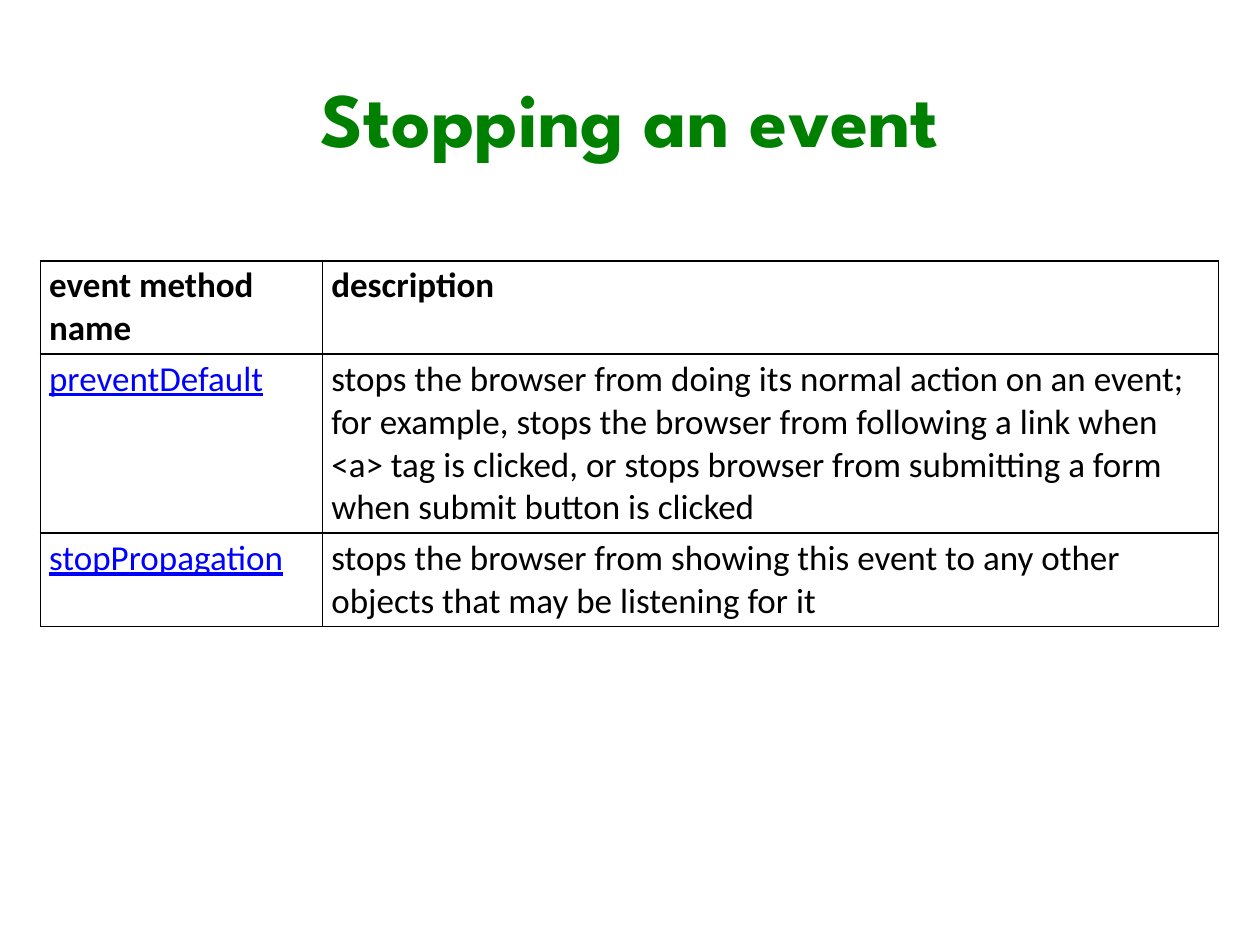
from lxml.etree import SubElement
from pptx import Presentation
from pptx.dml.color import RGBColor
from pptx.enum.text import MSO_ANCHOR, PP_ALIGN
from pptx.oxml.ns import qn
from pptx.util import Inches, Pt

GREEN = RGBColor(0x00, 0x80, 0x00)
BLACK = RGBColor(0x00, 0x00, 0x00)
BLUE = RGBColor(0x00, 0x00, 0xFF)

ROWS = [
    ("event method name", "description"),
    ("preventDefault",
     "stops the browser from doing its normal action on an event; "
     "for example, stops the browser from following a link "
     "when <a> tag is clicked, or stops browser from submitting a "
     "form when submit button is clicked"),
    ("stopPropagation",
     "stops the browser from showing this event to any other "
     "objects that may be listening for it"),
]
WIDTHS = [2.24, 7.11]
HEIGHTS = [0.39, 1.39, 0.72]


def add_borders(cell):
    props = cell._tc.get_or_add_tcPr()
    for side in ("a:lnL", "a:lnR", "a:lnT", "a:lnB"):
        line = SubElement(props, qn(side), w=str(Pt(1)))
        fill = SubElement(line, qn("a:solidFill"))
        SubElement(fill, qn("a:srgbClr"), val=str(BLACK))


deck = Presentation()
deck.slide_width, deck.slide_height = Inches(10), Inches(7.5)
slide = deck.slides.add_slide(deck.slide_layouts[5])

title = slide.shapes.title
title.left, title.top = Inches(0.5), Inches(0.3)
title.width, title.height = Inches(9), Inches(1.25)
frame = title.text_frame
frame.text = "Stopping an event"
frame.vertical_anchor = MSO_ANCHOR.MIDDLE
frame.paragraphs[0].alignment = PP_ALIGN.CENTER
font = frame.paragraphs[0].runs[0].font
font.name, font.size, font.bold = "League Spartan", Pt(44), True
font.color.rgb = GREEN

table = slide.shapes.add_table(
    len(ROWS), len(WIDTHS), Inches(0.32), Inches(2.07),
    Inches(sum(WIDTHS)), Inches(sum(HEIGHTS))).table
table.horz_banding = False
for col, width in zip(table.columns, WIDTHS):
    col.width = Inches(width)

for r, (texts, height) in enumerate(zip(ROWS, HEIGHTS)):
    table.rows[r].height = Inches(height)
    for c, text in enumerate(texts):
        cell = table.cell(r, c)
        cell.margin_left = cell.margin_right = Inches(0.07)
        cell.margin_top = cell.margin_bottom = Inches(0.03)
        add_borders(cell)
        cell.fill.background()
        cell.text_frame.text = text
        method = r > 0 and c == 0
        font = cell.text_frame.paragraphs[0].runs[0].font
        font.name, font.size = "Calibri", Pt(20)
        font.bold = r == 0
        font.underline = method
        font.color.rgb = BLUE if method else BLACK

deck.save("out.pptx")
